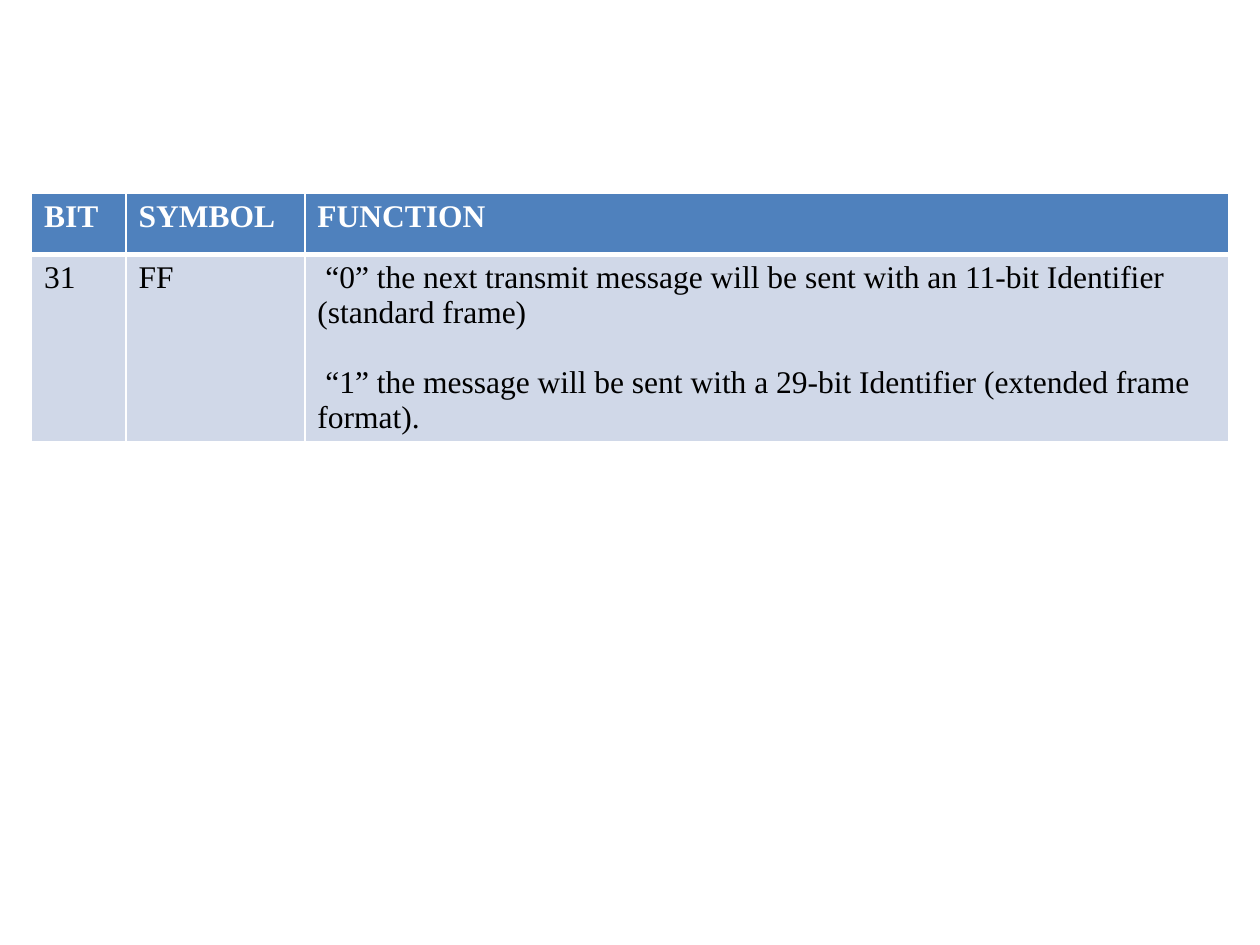
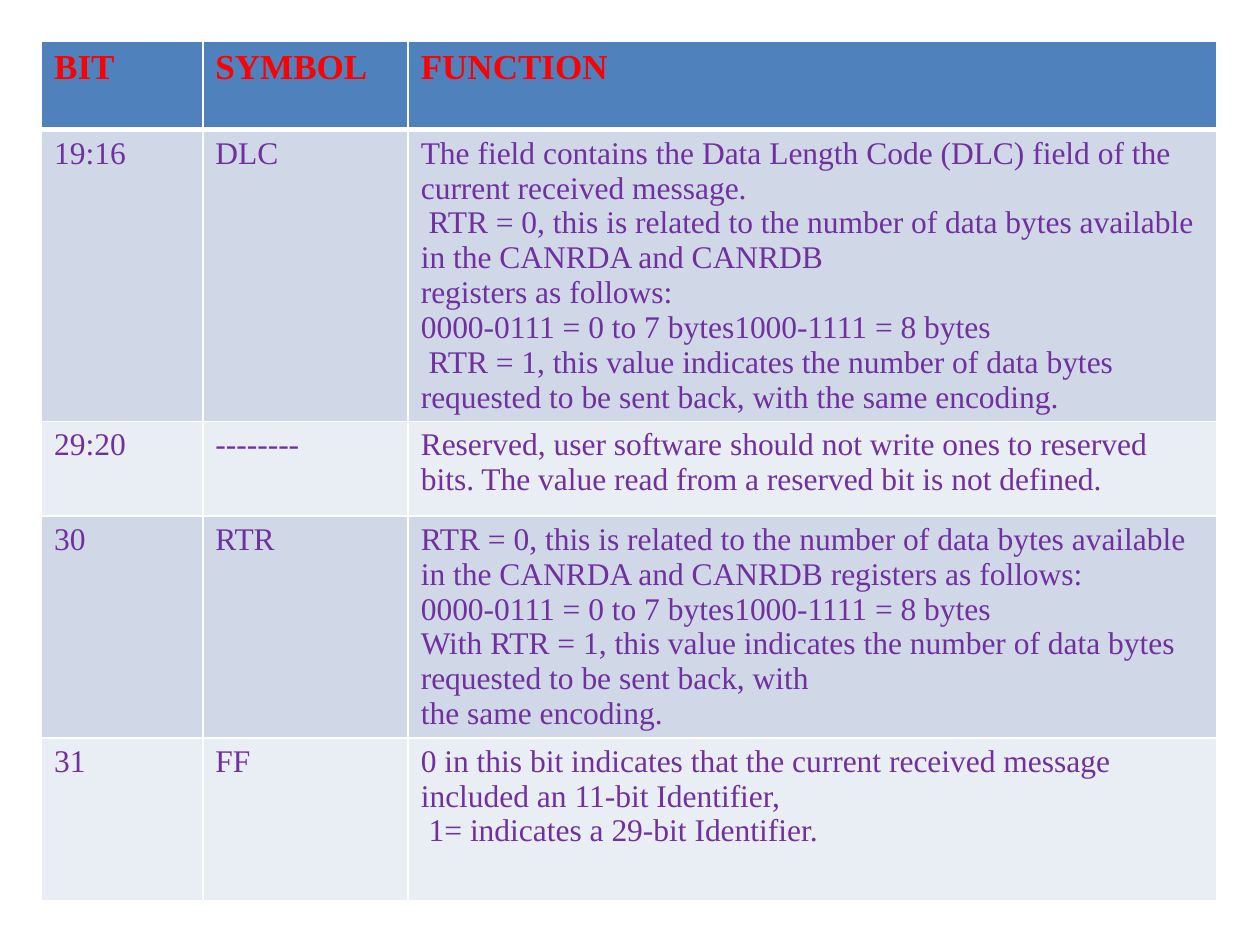
"""Build two slides that list the bit fields of CAN frame registers."""
from dataclasses import dataclass

from lxml import etree
from pptx import Presentation
from pptx.dml.color import RGBColor
from pptx.oxml import ns
from pptx.slide import Slide
from pptx.table import _Cell
from pptx.util import Inches, Pt


@dataclass(frozen=True)
class Theme:
    font: str = "Times New Roman"
    head: str = "4F81BD"
    bands: tuple[str, str] = ("D0D8E8", "E9EDF4")
    rule: str = "FFFFFF"
    thin: float = 1
    thick: float = 3
    body: float = 18


@dataclass(frozen=True)
class Style:
    size: float
    color: str
    bold: bool = False


@dataclass(frozen=True)
class Field:
    bit: str
    symbol: str
    lines: tuple[str, ...]
    height: float


@dataclass(frozen=True)
class Grid:
    left: float
    top: float
    cols: tuple[float, ...]
    head: Style
    text: Style
    fields: tuple[Field, ...]
    gap: float = 0


THEME = Theme()
CODES = "0000-0111 = 0 to 7 bytes1000-1111 = 8 bytes"
COUNT = "RTR = 0, this is related to the number of data bytes available in the CANRDA and CANRDB"
BACK = "RTR = 1, this value indicates the number of data bytes requested to be sent back, with"

SEND = Grid(
    0.25, 1.53, (0.75, 1.42, 7.33),
    Style(THEME.body, "FFFFFF", True), Style(THEME.body, "000000"),
    (
        Field("BIT", "SYMBOL", ("FUNCTION",), 0.49),
        Field("31", "FF", (
            " “0” the next transmit message will be sent with an 11-bit Identifier (standard frame)",
            " “1” the message will be sent with a 29-bit Identifier (extended frame format).",
        ), 1.48),
    ),
    gap=20,
)

RECEIVE = Grid(
    0.33, 0.33, (1.28, 1.63, 6.42),
    Style(20, "FF0000", True), Style(THEME.body, "7030A0"),
    (
        Field("BIT", "SYMBOL", ("FUNCTION",), 0.7),
        Field("19:16", "DLC", (
            "The field contains the Data Length Code (DLC) field of the current received message.",
            f" {COUNT}",
            "registers as follows:",
            CODES,
            f" {BACK} the same encoding.",
        ), 2.28),
        Field("29:20", "--------", (
            "Reserved, user software should not write ones to reserved bits. "
            "The value read from a reserved bit is not defined.",
        ), 0.75),
        Field("30", "RTR", (
            f"{COUNT} registers as follows:",
            CODES,
            f"With {BACK}",
            "the same encoding.",
        ), 1.73),
        Field("31", "FF", (
            "0 in this bit indicates that the current received message included an 11-bit Identifier,",
            " 1= indicates a 29-bit Identifier.",
        ), 1.29),
    ),
)


def add_rules(cell: _Cell, row: int) -> None:
    """Draw the four borders, with a thick one under the header."""
    props = cell._tc.get_or_add_tcPr()
    heavy = {0: "lnB", 1: "lnT"}.get(row)
    for side in ("lnL", "lnR", "lnT", "lnB"):
        width = THEME.thick if side == heavy else THEME.thin
        line = etree.SubElement(props, ns.qn(f"a:{side}"), w=str(Pt(width)))
        fill = etree.SubElement(line, ns.qn("a:solidFill"))
        etree.SubElement(fill, ns.qn("a:srgbClr"), val=THEME.rule)


def fill_cell(cell: _Cell, lines: tuple[str, ...], style: Style, gap: float) -> None:
    """Write the lines as paragraphs and format their runs."""
    cell.text_frame.text = "\n".join(lines)
    for index, para in enumerate(cell.text_frame.paragraphs):
        if index and gap:
            para.space_before = Pt(gap)
        for run in para.runs:
            run.font.name = THEME.font
            run.font.size = Pt(style.size)
            run.font.bold = style.bold
            run.font.color.rgb = RGBColor.from_string(style.color)


def add_grid(slide: Slide, grid: Grid) -> None:
    """Place one table of bit fields on the slide."""
    frame = slide.shapes.add_table(
        len(grid.fields), len(grid.cols), Inches(grid.left), Inches(grid.top),
        Inches(sum(grid.cols)), Inches(sum(field.height for field in grid.fields)),
    )
    table = frame.table
    for col, width in zip(table.columns, grid.cols):
        col.width = Inches(width)
    for row, field in enumerate(grid.fields):
        table.rows[row].height = Inches(field.height)
        style = grid.text if row else grid.head
        color = THEME.bands[(row - 1) % 2] if row else THEME.head
        texts = ((field.bit,), (field.symbol,), field.lines)
        for cell, lines in zip(table.rows[row].cells, texts):
            add_rules(cell, row)
            cell.fill.solid()
            cell.fill.fore_color.rgb = RGBColor.from_string(color)
            fill_cell(cell, lines, style, grid.gap)


def main() -> None:
    """Build and save the deck."""
    deck = Presentation()
    deck.slide_width, deck.slide_height = Inches(10), Inches(7.5)
    blank = deck.slide_layouts[6]
    for grid in (SEND, RECEIVE):
        add_grid(deck.slides.add_slide(blank), grid)
    deck.save("out.pptx")


if __name__ == "__main__":
    main()
